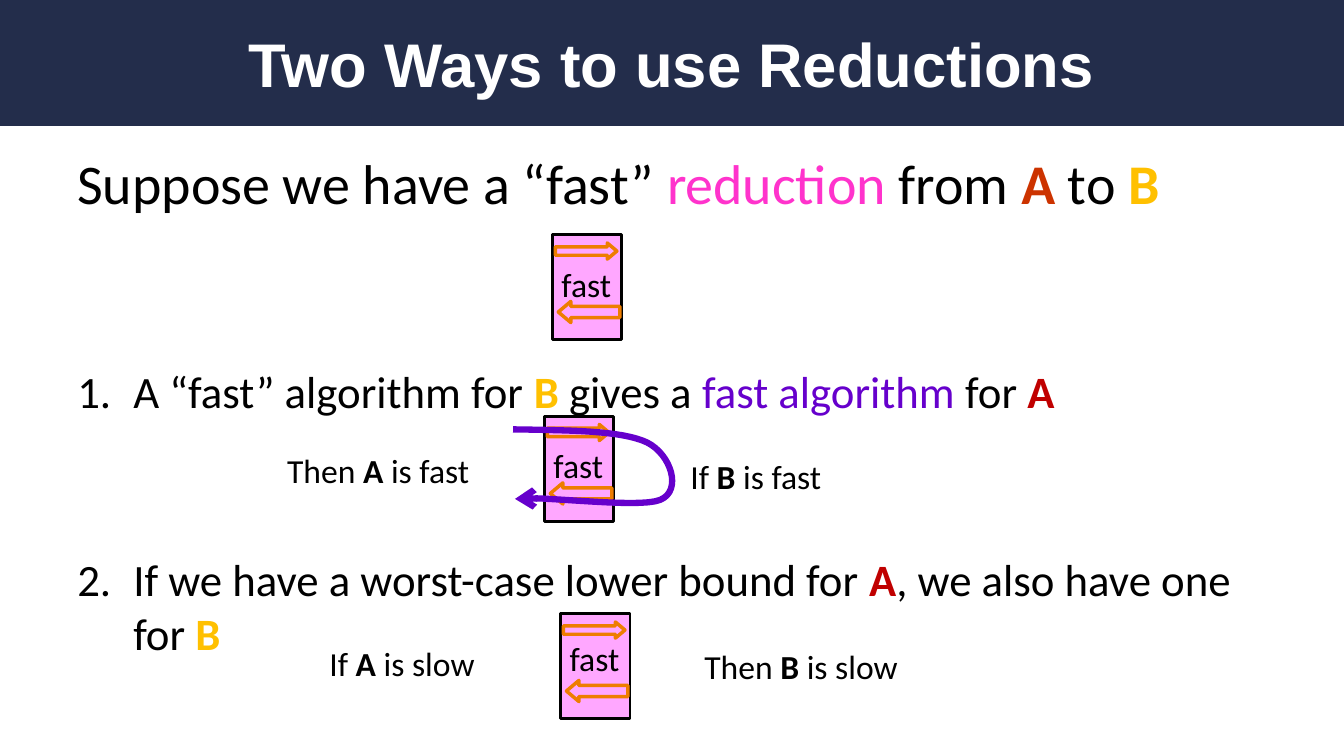
from lxml import etree
from pptx import Presentation
from pptx.dml import color
from pptx.enum import shapes, text
from pptx.oxml import ns
from pptx.util import Pt

BLACK, WHITE, NAVY = "000000", "FFFFFF", "232D4B"
PINK, ORANGE, PURPLE = "FFA7FF", "EE7D00", "6600CC"
MAGENTA, RUST, RED, GOLD = "FF33CC", "CC3300", "C00000", "FFC000"

CARD_WIDTH, CARD_HEIGHT = 49.7, 74.9


def rgb(value):
    return color.RGBColor.from_string(value)


def place(shape, left, top, width, height):
    shape.left, shape.top = Pt(left), Pt(top)
    shape.width, shape.height = Pt(width), Pt(height)


def add_runs(paragraph, runs, size, name="Calibri"):
    """Append runs given as (wording, colour, bold)."""
    for wording, run_color, bold in runs:
        run = paragraph.add_run()
        run.text = wording
        run.font.name, run.font.size, run.font.bold = name, Pt(size), bold
        run.font.color.rgb = rgb(run_color)


def add_preset(slide, preset, box, fill=None, line=None, line_width=0):
    left, top, width, height = map(Pt, box)
    shape = slide.shapes.add_shape(preset, left, top, width, height)
    shape.shadow.inherit = False
    if fill:
        shape.fill.solid()
        shape.fill.fore_color.rgb = rgb(fill)
    else:
        shape.fill.background()
    if line:
        shape.line.color.rgb = rgb(line)
        shape.line.width = Pt(line_width)
    else:
        shape.line.fill.background()
    return shape


def fill_title(slide, left, top, width, height):
    """Draw the banner in the box and centre the title on it."""
    banner = add_preset(slide, shapes.MSO_SHAPE.RECTANGLE, (left, top, width, height), NAVY)
    title = slide.shapes.title
    title.element.addprevious(banner.element)
    place(title, left + 48, top + 12, width - 96, height - 24)
    frame = title.text_frame
    frame.auto_size = text.MSO_AUTO_SIZE.NONE
    frame.vertical_anchor = text.MSO_ANCHOR.MIDDLE
    paragraph = frame.paragraphs[0]
    paragraph.alignment = text.PP_ALIGN.CENTER
    add_runs(paragraph, [("Two Ways to use Reductions", WHITE, True)], 44, "Arial")


def set_bullet(paragraph, numbered):
    properties = paragraph._p.get_or_add_pPr()
    indent = Pt(40) if numbered else 0
    properties.set("marL", str(indent))
    properties.set("indent", str(-indent))
    if numbered:
        etree.SubElement(properties, ns.qn("a:buFont"), typeface="+mj-lt")
        etree.SubElement(properties, ns.qn("a:buAutoNum"), type="arabicPeriod")
    else:
        etree.SubElement(properties, ns.qn("a:buNone"))


def fill_body(slide, left, top, width, height):
    body = slide.placeholders[1]
    place(body, left, top, width, height)
    frame = body.text_frame
    frame.auto_size = text.MSO_AUTO_SIZE.NONE
    frame.vertical_anchor = text.MSO_ANCHOR.MIDDLE
    frame.margin_top = Pt(8)
    statements = [
        (False, 40, 0, [
            ("Suppose we have a “fast” ", BLACK, False), ("reduction", MAGENTA, False),
            (" from ", BLACK, False), ("A", RUST, True),
            (" to ", BLACK, False), ("B", GOLD, True)]),
        (True, 32, 106, [
            ("A “fast” algorithm for ", BLACK, False), ("B ", GOLD, True),
            ("gives a ", BLACK, False), ("fast algorithm ", PURPLE, False),
            ("for ", BLACK, False), ("A", RED, True)]),
        (True, 32, 96, [
            ("If we have a worst-case lower bound for ", BLACK, False), ("A", RED, True),
            (", we also have one for ", BLACK, False), ("B", GOLD, True)]),
    ]
    for index, (numbered, size, space, runs) in enumerate(statements):
        paragraph = frame.add_paragraph() if index else frame.paragraphs[0]
        paragraph.space_before = Pt(space)
        set_bullet(paragraph, numbered)
        add_runs(paragraph, runs, size)


def add_label(slide, left, top, width, runs):
    label = slide.shapes.add_textbox(Pt(left), Pt(top), Pt(width), Pt(36))
    frame = label.text_frame
    frame.word_wrap = False
    frame.auto_size = text.MSO_AUTO_SIZE.SHAPE_TO_FIT_TEXT
    add_runs(frame.paragraphs[0], runs, 24)


def add_claim(slide, left, top, width, opening, problem, ending):
    runs = [(opening, BLACK, False), (problem, BLACK, True), (ending, BLACK, False)]
    add_label(slide, left, top, width, runs)


def add_reduction_card(slide, left, top, label_drop):
    """Draw the card with an arrow each way and its label label_drop below the top."""
    add_preset(slide, shapes.MSO_SHAPE.RECTANGLE,
               (left, top, CARD_WIDTH, CARD_HEIGHT), PINK, BLACK, 2)
    for across, down, height, rotation in [(2.2, 5.8, 11.5, 0), (4.3, 47.5, 15.1, 180)]:
        arrow = add_preset(slide, shapes.MSO_SHAPE.RIGHT_ARROW,
                           (left + across, top + down, 43.9, height),
                           line=ORANGE, line_width=2.5)
        arrow.adjustments[0], arrow.adjustments[1] = 0.523, 0.592
        arrow.rotation = rotation
    add_label(slide, left - 0.5, top + label_drop, 50.4, [("fast", BLACK, False)])


def bezier_points(start, control_1, control_2, end, steps=16):
    for step in range(1, steps + 1):
        t = step / steps
        weights = ((1 - t) ** 3, 3 * t * (1 - t) ** 2, 3 * t * t * (1 - t), t ** 3)
        yield tuple(sum(weight * point[axis] for weight, point in
                        zip(weights, (start, control_1, control_2, end)))
                    for axis in (0, 1))


def add_loop_arrow(slide, left, top):
    """Draw the arrow that runs right, turns and comes back, from its start point."""
    nodes = [(0, 0), (38.9, 0.7), (77.8, 0.7), (95.8, 9.4), (113, 18), (121, 43.9),
             (105.1, 50.4), (89.3, 56.9), (15.8, 46.8), (1.4, 49.7)]
    points = [point for first in range(0, 9, 3)
              for point in bezier_points(*nodes[first:first + 4])]
    builder = slide.shapes.build_freeform(Pt(left), Pt(top))
    builder.add_line_segments([(Pt(left + x), Pt(top + y)) for x, y in points], close=False)
    loop = builder.convert_to_shape()
    loop.shadow.inherit = False
    loop.fill.background()
    loop.line.color.rgb = rgb(PURPLE)
    loop.line.width = Pt(4.5)
    outline = loop.line._get_or_add_ln()
    etree.SubElement(outline, ns.qn("a:round"))
    etree.SubElement(outline, ns.qn("a:tailEnd"), type="arrow")


def main():
    presentation = Presentation()
    presentation.slide_width, presentation.slide_height = Pt(960), Pt(540)
    slide = presentation.slides.add_slide(presentation.slide_layouts[1])
    fill_title(slide, 0, 0, 960, 90)
    fill_body(slide, 48, 108, 864, 356.4)

    add_reduction_card(slide, 394.5, 167.8, 17)
    add_reduction_card(slide, 388.8, 297.4, 17)
    add_loop_arrow(slide, 366.5, 306.7)
    add_reduction_card(slide, 400.3, 438.5, 13.7)

    add_claim(slide, 198, 318.2, 146.2, "Then ", "A", " is fast")
    add_claim(slide, 486, 321.8, 108.7, "If ", "B", " is fast")
    add_claim(slide, 228.2, 455.8, 118.8, "If ", "A", " is slow")
    add_claim(slide, 496, 458, 154, "Then ", "B", " is slow")
    presentation.save("out.pptx")


if __name__ == "__main__":
    main()
